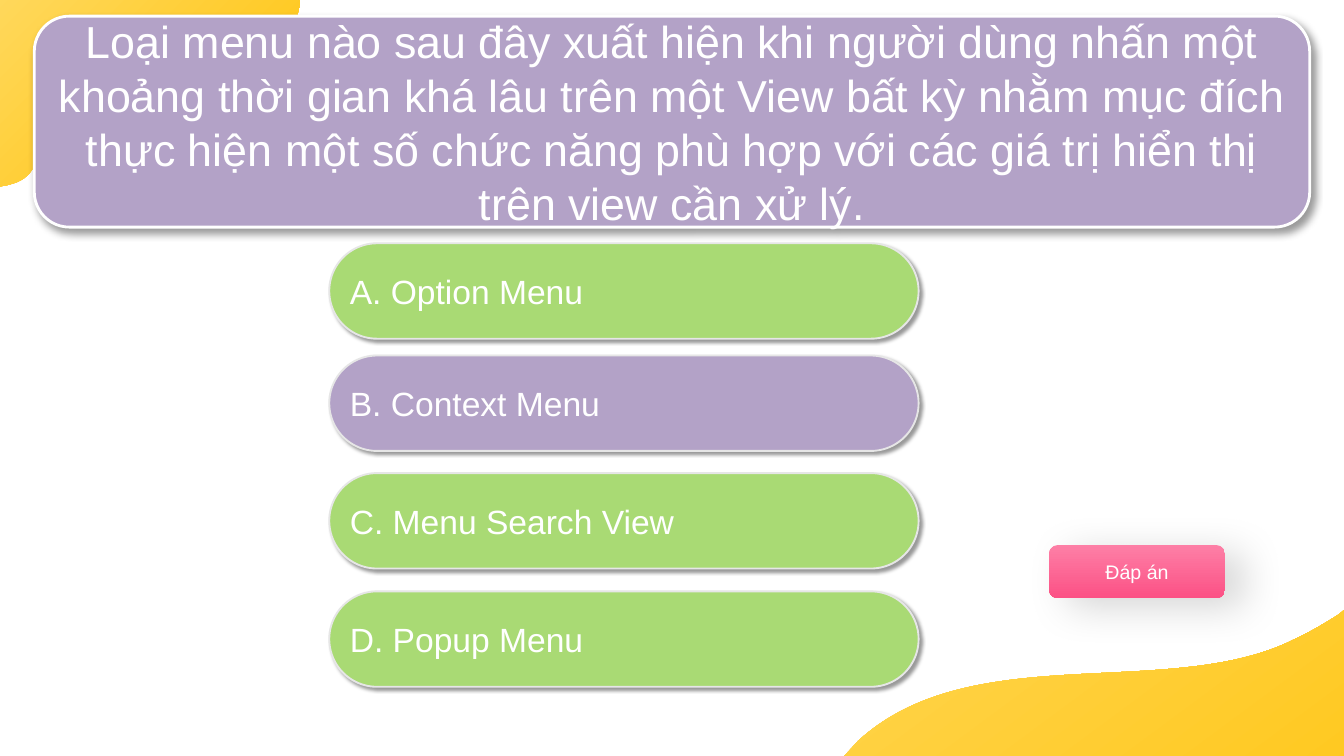
from math import cos, radians, sin
from lxml import etree
from pptx import Presentation
from pptx.dml.color import RGBColor as Rgb
from pptx.enum.shapes import MSO_SHAPE as Shape
from pptx.enum.text import MSO_ANCHOR as Anchor, PP_ALIGN as Align
from pptx.oxml.ns import qn
from pptx.util import Inches, Pt

# The slide is a grid of square cells, 20 columns by 11.25 rows.
COLS, ROWS = 20, 11.25
CELL = Inches(1)
FONT = "Arial"
HUES = {
    "white": "FFFFFF", "black": "000000", "edge": "E6E6E6",
    "green": "A9DA74", "purple": "B3A2C7",
    "pink": "FD7FA6", "rose": "FC5185",
    "honey": "FFD85B", "amber": "FFC207",
}
ASK = ("Loại menu nào sau đây xuất hiện khi người dùng nhấn một khoảng thời gian "
       "khá lâu trên một View bất kỳ nhằm mục đích thực hiện một số chức năng phù "
       "hợp với các giá trị hiển thị trên view cần xử lý.")
# Top edge of each answer in rows from the top of the list, its text and hue
ANSWERS = [
    (0, "A. Option Menu", "green"),
    (1.67, "B. Context Menu", "purple"),
    (3.42, "C. Menu Search View", "green"),
    (5.18, "D. Popup Menu", "green"),
]
# Wave outlines in cells of the slide: two numbers a line, six a curve
TOP_WAVE = [
    (0, -0.05), (4.46, -0.05), (4.46, 0.05),
    (4.42, 0.54, 3.93, 0.93, 3.1, 0.76),
    (1.9, 0.5, 1.32, 0.23, 0.83, 0.81),
    (0.34, 1.39, 0.89, 2.46, 0.25, 2.72),
    (0.17, 2.75, 0.1, 2.77, 0.02, 2.78), (0, 2.79),
]
LOW_WAVE = [
    (20.03, 9.06), (20.03, 11.25), (12.57, 11.25), (12.78, 11.02),
    (14.46, 9.48, 17.4, 10.43, 19.25, 9.52),
    (19.49, 9.41, 19.71, 9.28, 19.93, 9.14),
]


def hue(name):
    return Rgb.from_string(HUES[name])


def blend(shape, names, angle):
    """Fill with a two-stop gradient; the angle runs counter-clockwise."""
    shape.fill.gradient()
    shape.fill.gradient_angle = angle
    for stop, name, place in zip(shape.fill.gradient_stops, names, (0, 1)):
        stop.color.rgb = hue(name)
        stop.position = place


def shade(shape, alpha, blur, dist, angle):
    shape.shadow.inherit = False
    effects = shape._element.spPr.find(qn("a:effectLst"))
    outer = etree.SubElement(
        effects, qn("a:outerShdw"), blurRad=str(Pt(blur)), dist=str(Pt(dist)),
        dir=str(angle * 60000), algn="tl", rotWithShape="0")
    color = etree.SubElement(outer, qn("a:srgbClr"), val=HUES["black"])
    etree.SubElement(color, qn("a:alpha"), val=str(alpha * 1000))


def unturn(point, box, angle):
    """Turn a point back around the centre of its box."""
    left, top, width, height = box
    mid_x, mid_y = left + width / 2, top + height / 2
    x, y, turn = point[0] - mid_x, point[1] - mid_y, radians(angle)
    return ((mid_x + x * cos(turn) + y * sin(turn)) * CELL,
            (mid_y - x * sin(turn) + y * cos(turn)) * CELL)


def bend(path, steps):
    """Join the three lines that stand for each curve into one curve."""
    lines = iter(path.findall(qn("a:lnTo")))
    for step in steps[1:]:
        line = next(lines)
        if len(step) == 6:
            line.tag = qn("a:cubicBezTo")
            for _ in range(2):
                extra = next(lines)
                line.append(extra[0])
                path.remove(extra)


def wave(slide, box, turn, steps, angle):
    points = [unturn(step[i:i + 2], box, turn)
              for step in steps for i in range(0, len(step), 2)]
    pen = slide.shapes.build_freeform(*points[0], scale=1.0)
    pen.add_line_segments(points[1:], close=True)
    shape = pen.convert_to_shape()
    left, top, width, height = (int(n * CELL) for n in box)
    shape.left, shape.top, shape.width, shape.height = left, top, width, height
    path = next(shape._element.iter(qn("a:path")))
    path.set("w", str(width))
    path.set("h", str(height))
    bend(path, steps)
    shape.rotation = turn
    shape.shadow.inherit = False
    shape.line.fill.background()
    blend(shape, ("honey", "amber"), angle)


def panel(slide, kind, box, text, size, align):
    shape = slide.shapes.add_shape(kind, *(int(n * CELL) for n in box))
    frame = shape.text_frame
    frame.word_wrap = True
    frame.vertical_anchor = Anchor.MIDDLE
    para = frame.paragraphs[0]
    para.text = text
    para.alignment = align
    para.font.name = FONT
    para.font.size = Pt(size)
    para.font.color.rgb = hue("white")
    return shape


def paint(shape, fill, edge, width):
    shape.fill.solid()
    shape.fill.fore_color.rgb = hue(fill)
    shape.line.color.rgb = hue(edge)
    shape.line.width = Pt(width)


def question(slide, box):
    shape = panel(slide, Shape.ROUNDED_RECTANGLE, box, ASK, 48, Align.CENTER)
    paint(shape, "purple", "white", 3)
    shade(shape, 40, 9, 5, 45)


def choices(slide, left, top, width, height):
    for row, text, fill in ANSWERS:
        box = (left, top + row, width, height)
        shape = panel(slide, Shape.ROUNDED_RECTANGLE, box, text, 36, Align.LEFT)
        shape.adjustments[0] = 0.5
        paint(shape, fill, "edge", 2)
        shade(shape, 40, 4, 3, 45)


def button(slide, box):
    shape = panel(slide, Shape.FLOWCHART_ALTERNATE_PROCESS, box, "Đáp án", 21,
                  Align.CENTER)
    shape.line.fill.background()
    blend(shape, ("pink", "rose"), 270)
    shade(shape, 17, 45, 22, 25)


def main():
    deck = Presentation()
    deck.slide_width, deck.slide_height = COLS * CELL, int(ROWS * CELL)
    slide = deck.slides.add_slide(deck.slide_layouts[6])
    wave(slide, (0, -0.05, 4.46, 2.83), 180, TOP_WAVE, 135)
    wave(slide, (13.15, 8.58, 7.29, 4.51), 143.5, LOW_WAVE, 90)
    button(slide, (15.61, 8.11, 2.62, 0.79))
    question(slide, (0.51, 0.24, 18.98, 3.14))
    choices(slide, 4.9, 3.62, 8.77, 1.42)
    deck.save("out.pptx")


if __name__ == "__main__":
    main()
